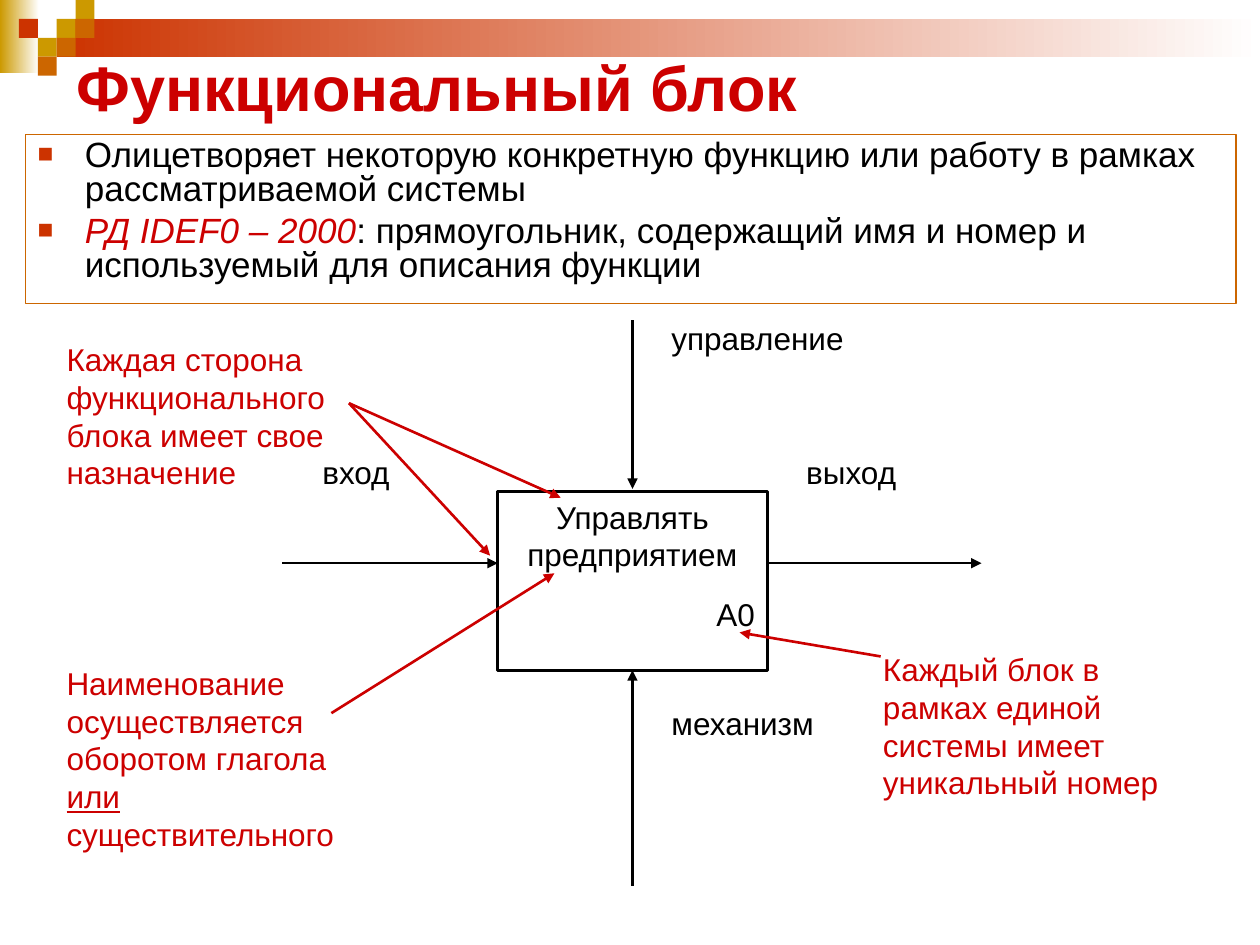
from dataclasses import dataclass

import pptx
import pptx.dml.color
import pptx.enum.shapes
import pptx.enum.text
import pptx.oxml.ns
import pptx.util
from lxml import etree

ALIGN = pptx.enum.text.PP_ALIGN
ANCHOR = pptx.enum.text.MSO_ANCHOR


@dataclass(frozen=True)
class Theme:
    font: str = "Arial"
    ink: str = "000000"
    paper: str = "FFFFFF"
    accent: str = "CC0000"
    brick: str = "CC3300"
    gold: str = "CC9900"
    orange: str = "CC6600"
    title_size: float = 36
    body_size: float = 20
    label_size: float = 18
    stroke: float = 1.5
    hairline: float = 0.75


def rgb(value):
    return pptx.dml.color.RGBColor.from_string(value)


def add_xml(parent, tag, **attributes):
    return etree.SubElement(parent, pptx.oxml.ns.qn(tag), attributes)


class SlideBuilder:
    """Places elements on a grid of 100 columns by 75 rows."""

    COLUMNS, ROWS = 100, 75

    def __init__(self, deck, theme):
        self.deck = deck
        self.theme = theme
        self.slide = deck.slides.add_slide(deck.slide_layouts[6])

    def x(self, column):
        return round(self.deck.slide_width * column / self.COLUMNS)

    def y(self, row):
        return round(self.deck.slide_height * row / self.ROWS)

    def frame(self, column, row, columns, rows):
        return self.x(column), self.y(row), self.x(columns), self.y(rows)

    def box(self, area, fill=None, fade_to=None, line=None, width=None):
        """Rectangle with a plain, left-to-right fading or absent fill."""
        box = self.slide.shapes.add_shape(
            pptx.enum.shapes.MSO_SHAPE.RECTANGLE, *self.frame(*area))
        box.shadow.inherit = False
        if fade_to:
            box.fill.gradient()
            box.fill.gradient_angle = 0
            for stop, position, colour in zip(
                    box.fill.gradient_stops, (0, 1), (fill, fade_to)):
                stop.position = position
                stop.color.rgb = rgb(colour)
        elif fill:
            box.fill.solid()
            box.fill.fore_color.rgb = rgb(fill)
        else:
            box.fill.background()
        if line:
            box.line.color.rgb = rgb(line)
            box.line.width = pptx.util.Pt(width or self.theme.stroke)
        else:
            box.line.fill.background()
        return box

    def paragraph(self, holder, runs, size, colour, align=ALIGN.LEFT, before=0):
        """Add a paragraph; each run is (text, font settings)."""
        frame = holder.text_frame
        paragraph = frame.paragraphs[0]
        if paragraph.runs:
            paragraph = frame.add_paragraph()
        paragraph.alignment = align
        paragraph.space_before = pptx.util.Pt(before)
        for text, settings in runs:
            run = paragraph.add_run()
            run.text = text
            run.font.name = self.theme.font
            run.font.size = pptx.util.Pt(size)
            run.font.color.rgb = rgb(settings.get("colour", colour))
            run.font.bold = settings.get("bold")
            run.font.italic = settings.get("italic")
            run.font.underline = settings.get("underline")
        return paragraph

    def wrap(self, holder, anchor=ANCHOR.TOP):
        holder.text_frame.word_wrap = True
        holder.text_frame.vertical_anchor = anchor
        return holder

    def title(self, area, text):
        title = self.wrap(self.slide.shapes.add_textbox(*self.frame(*area)), ANCHOR.MIDDLE)
        self.paragraph(title, [(text, {"bold": True})],
                       self.theme.title_size, self.theme.accent)

    def bullets(self, area, items):
        panel = self.wrap(self.box(area, line=self.theme.orange, width=self.theme.hairline))
        indent = self.x(3.75)
        for runs in items:
            item = self.paragraph(panel, runs, self.theme.body_size, self.theme.ink, before=5)
            item.line_spacing = 0.8
            properties = item._p.get_or_add_pPr()
            properties.set("marL", str(indent))
            properties.set("indent", str(-indent))
            add_xml(add_xml(properties, "a:buClr"), "a:srgbClr", val=self.theme.brick)
            add_xml(properties, "a:buSzPct", val="75000")
            add_xml(properties, "a:buFont", typeface=self.theme.font)
            add_xml(properties, "a:buChar", char="■")

    def function_block(self, area, name, number):
        block = self.wrap(self.box(area, self.theme.paper, line=self.theme.ink))
        size, ink = self.theme.label_size, self.theme.ink
        self.paragraph(block, [(name, {})], size, ink, ALIGN.CENTER)
        self.paragraph(block, [(number, {})], size, ink, ALIGN.RIGHT, before=12.6)

    def label(self, area, text):
        label = self.wrap(self.box(area, self.theme.paper))
        self.paragraph(label, [(text, {})], self.theme.label_size, self.theme.ink)

    def note(self, area, runs):
        note = self.wrap(self.slide.shapes.add_textbox(*self.frame(*area)))
        self.paragraph(note, runs, self.theme.label_size, self.theme.accent)

    def arrow(self, start, end, colour):
        arrow = self.slide.shapes.add_connector(
            pptx.enum.shapes.MSO_CONNECTOR.STRAIGHT,
            self.x(start[0]), self.y(start[1]), self.x(end[0]), self.y(end[1]))
        arrow.line.color.rgb = rgb(colour)
        arrow.line.width = pptx.util.Pt(self.theme.stroke)
        add_xml(arrow.line._get_or_add_ln(), "a:tailEnd", type="triangle")
        add_xml(arrow._element.spPr, "a:effectLst")

    def header(self):
        theme, tile = self.theme, 1.5
        self.box((0, 0, 3.1, 5.8), theme.gold, fade_to=theme.paper)
        self.box((3 * tile, tile, 95.5, 2 * tile), theme.brick, fade_to=theme.paper)
        mosaic = {
            theme.gold: [(3, 1), (4, 0), (2, 2)],
            theme.orange: [(4, 1), (3, 2), (2, 3)],
            theme.brick: [(1, 1)],
        }
        for colour, cells in mosaic.items():
            for column, row in cells:
                self.box((column * tile, row * tile, tile, tile), colour)


def main():
    deck = pptx.Presentation()
    deck.slide_width = pptx.util.Inches(10)
    deck.slide_height = pptx.util.Inches(7.5)
    theme = Theme()
    page = SlideBuilder(deck, theme)

    page.header()
    page.title((5.1, 2.8, 90, 8.1), "Функциональный блок")
    page.bullets((2, 10.7, 96.1, 13.4), [
        [("Олицетворяет некоторую конкретную функцию или работу "
          "в рамках рассматриваемой системы", {})],
        [("РД IDEF0 – 2000", {"colour": theme.accent, "italic": True}),
         (": прямоугольник, содержащий имя и номер и используемый "
          "для описания функции", {})],
    ])

    left, top, width, height = block = (39.5, 39, 21.4, 14.2)
    right, bottom = left + width, top + height
    middle, flow = left + width / 2, 44.7
    page.function_block(block, "Управлять предприятием", "А0")
    for start, end in [
        ((middle, 25.4), (middle, top - 0.2)),
        ((left - 17.1, flow), (left, flow)),
        ((right, flow), (right + 17, flow)),
        ((middle, bottom + 17.1), (middle, bottom)),
    ]:
        page.arrow(start, end, theme.ink)
    for area, role in [
        ((52.3, 24.8, 19.2, 8.5), "управление"),
        ((24.6, 35.5, 10.7, 8.6), "вход"),
        ((63, 35.5, 12.8, 8.6), "выход"),
        ((52.3, 55.4, 17.1, 8.5), "механизм"),
    ]:
        page.label(area, role)

    for area, runs, start, targets in [
        ((4.3, 52.2, 24.3, 16),
         [("Наименование осуществляется оборотом глагола ", {}),
          ("или ", {"underline": True}), ("существительного", {})],
         (26.3, 56.6), [(44, 45.5)]),
        ((69.1, 51.1, 26.6, 13),
         [("Каждый блок в рамках единой системы имеет уникальный номер", {})],
         (69.9, 52.1), [(58.7, 50.2)]),
        ((4.3, 26.5, 24.1, 13),
         [("Каждая сторона функционального блока имеет свое назначение", {})],
         (27.7, 32), [(44.5, 39.5), (38.9, 44.1)]),
    ]:
        page.note(area, runs)
        for target in targets:
            page.arrow(start, target, theme.accent)

    deck.save("out.pptx")


if __name__ == "__main__":
    main()
